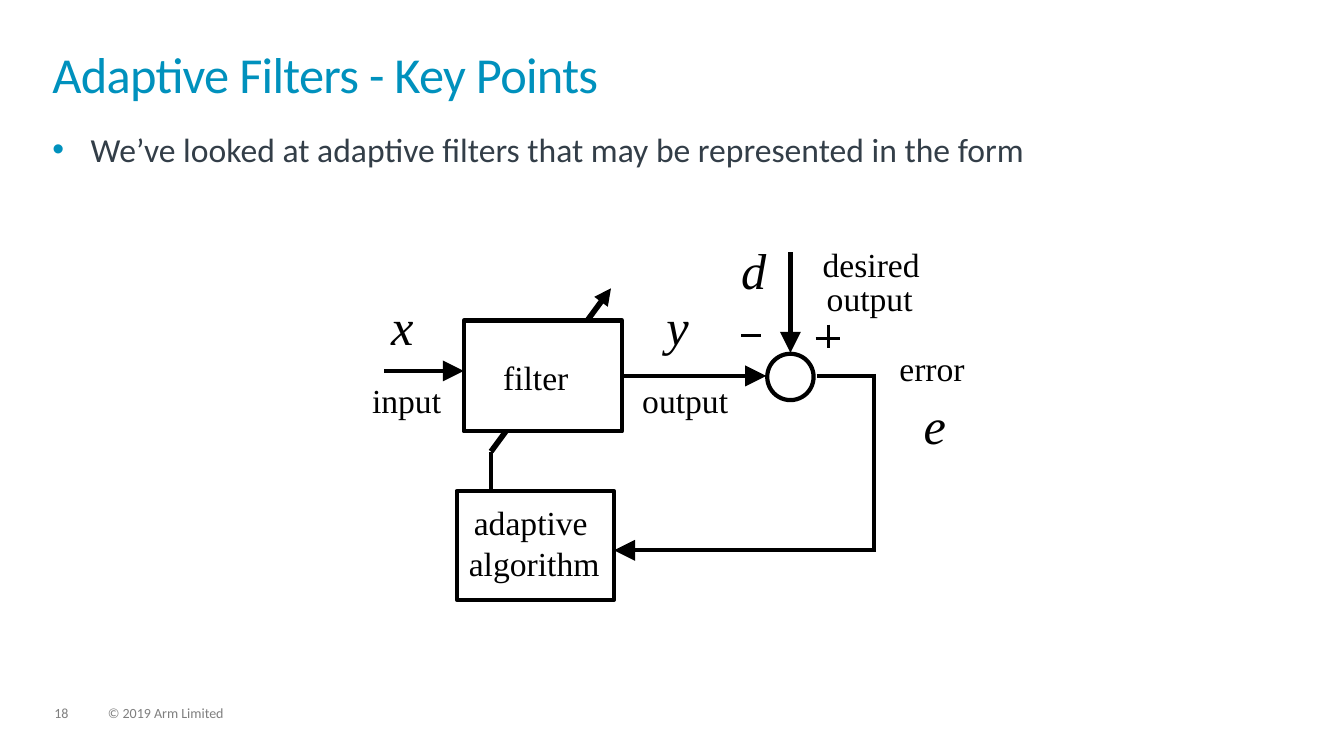
from dataclasses import dataclass
from lxml.etree import SubElement
from pptx import Presentation
from pptx.dml.color import RGBColor as RGB
from pptx.enum.shapes import MSO_CONNECTOR as CONN, MSO_SHAPE as SHAPE
from pptx.enum.text import MSO_ANCHOR as ANCHOR, MSO_AUTO_SIZE as FIT, PP_ALIGN as ALIGN
from pptx.oxml.ns import qn
from pptx.util import Inches, Pt


@dataclass(frozen=True)
class Theme:
    blue: str = "0091BD"
    slate: str = "333E48"
    gray: str = "7F7F7F"
    black: str = "000000"
    white: str = "FFFFFF"
    sans: str = "Calibri"
    serif: str = "Times New Roman"
    head: int = 36
    body: int = 24
    foot: int = 10
    stroke: int = 3
    bold: int = 4
    thin: int = 2


T = Theme()


def put(shape, text, size=T.body, color=T.black, font=T.serif, italic=False,
        space=None, track=None, bullet=False, wrap=True):
    """Fill a text shape with one formatted paragraph."""
    frame = shape.text_frame
    frame.margin_left = frame.margin_right = 0
    frame.margin_top = frame.margin_bottom = 0
    frame.vertical_anchor = ANCHOR.TOP
    frame.word_wrap = wrap
    frame.auto_size = FIT.NONE if wrap else FIT.SHAPE_TO_FIT_TEXT
    para = frame.paragraphs[0]
    para.alignment = ALIGN.LEFT
    para.space_before = Pt(0)
    if space:
        para.line_spacing = space
    if bullet:
        props = para._p.get_or_add_pPr()
        props.set("marL", str(Inches(0.38)))
        props.set("indent", str(Inches(-0.38)))
        tint = SubElement(props, qn("a:buClr"))
        SubElement(tint, qn("a:srgbClr"), val=T.blue)
        SubElement(props, qn("a:buFont"), typeface="Arial")
        SubElement(props, qn("a:buChar"), char="•")
    run = para.add_run()
    run.text = text
    run.font.name, run.font.size = font, Pt(size)
    run.font.italic = italic
    run.font.color.rgb = RGB.from_string(color)
    if track:
        run._r.get_or_add_rPr().set("spc", str(track))


def place(shape, *box):
    """Move a placeholder to left, top, width, height."""
    shape.left, shape.top, shape.width, shape.height = map(Inches, box)
    return shape


def label(slide, text, *box, **form):
    put(slide.shapes.add_textbox(*map(Inches, box)), text, **form)


def block(slide, kind, *box):
    """Add a white node with a black outline."""
    node = slide.shapes.add_shape(kind, *map(Inches, box))
    node.shadow.inherit = False
    node.fill.solid()
    node.fill.fore_color.rgb = RGB.from_string(T.white)
    node.line.color.rgb = RGB.from_string(T.black)
    node.line.width = Pt(T.stroke)
    return node


def wire(slide, *ends, width=T.stroke, head=None):
    """Add a line from x1, y1 to x2, y2, with an arrowhead of the given size."""
    line = slide.shapes.add_connector(CONN.STRAIGHT, *map(Inches, ends))
    line.line.color.rgb = RGB.from_string(T.black)
    line.line.width = Pt(width)
    if head:
        SubElement(line.line._get_or_add_ln(), qn("a:tailEnd"),
                   type="triangle", w=head, len=head)
    SubElement(line._element.spPr, qn("a:effectLst"))
    return line


def draw(slide):
    """Draw the boxes, the summing node and the signal paths."""
    # Adaptation arrow, passing behind the filter
    wire(slide, 4.87, 4.48, 6.06, 2.86, width=T.bold, head="med")
    wire(slide, 4.87, 4.48, 4.87, 4.87)

    # Nodes
    block(slide, SHAPE.RECTANGLE, 4.53, 4.87, 1.56, 1.08)
    filt = block(slide, SHAPE.RECTANGLE, 4.6, 3.18, 1.57, 1.1)
    block(slide, SHAPE.OVAL, 7.61, 3.51, 0.46, 0.46)

    # Input, output and desired signals
    wire(slide, 3.81, 3.68, 4.6, 3.68, head="lg")
    out = wire(slide, 6.17, 3.73, 7.6, 3.73, head="lg")
    out.begin_connect(filt, 3)
    wire(slide, 7.84, 2.5, 7.84, 3.5, head="lg")

    # Error feedback
    wire(slide, 8.1, 3.73, 8.67, 3.73)
    wire(slide, 8.67, 3.71, 8.67, 5.46)
    wire(slide, 8.69, 5.46, 6.09, 5.46, head="lg")

    # Minus and plus signs
    wire(slide, 7.35, 3.33, 7.55, 3.33, width=T.thin)
    wire(slide, 8.09, 3.36, 8.33, 3.36, width=T.thin)
    wire(slide, 8.22, 3.22, 8.22, 3.45, width=T.thin)


def name(slide):
    """Label the signals and the boxes."""
    signs = [("x", 3.88, 2.93, 0.22), ("y", 6.61, 2.93, 0.22),
             ("d", 7.35, 2.37, 0.25), ("e", 9.16, 3.91, 0.22)]
    for text, left, top, width in signs:
        label(slide, text, left, top, width, 0.61,
              size=T.head, italic=True, wrap=False)
    words = [("filter", 4.99, 3.54, 0.65), ("error", 8.92, 3.45, 0.65),
             ("desired", 8.16, 2.42, 0.97), ("output", 8.2, 2.76, 0.86),
             ("output", 6.37, 3.77, 0.86), ("adaptive", 4.7, 4.98, 1.14),
             ("algorithm", 4.65, 5.39, 1.31), ("input", 3.69, 3.77, 0.69)]
    for text, left, top, width in words:
        label(slide, text, left, top, width, 0.4, wrap=False)


def main():
    deck = Presentation()
    deck.slide_width, deck.slide_height = Inches(13.33), Inches(7.5)
    slide = deck.slides.add_slide(deck.slide_layouts[1])

    # Title and bullet
    put(place(slide.shapes.title, 0.52, 0.52, 12.28, 0.72),
        "Adaptive Filters - Key Points", size=T.head, color=T.blue,
        font=T.sans, space=0.85, track=-50)
    put(place(slide.placeholders[1], 0.52, 1.28, 12.28, 5.41),
        "We’ve looked at adaptive filters that may be represented in the form",
        color=T.slate, font=T.sans, bullet=True)

    # Block diagram
    draw(slide)
    name(slide)

    # Footer
    for text, left, width in [("18", 0.54, 0.34), ("© 2019 Arm Limited", 1.07, 5.07)]:
        label(slide, text, left, 7.01, width, 0.15,
              size=T.foot, color=T.gray, font=T.sans, space=0.9)

    deck.save("out.pptx")


if __name__ == "__main__":
    main()
